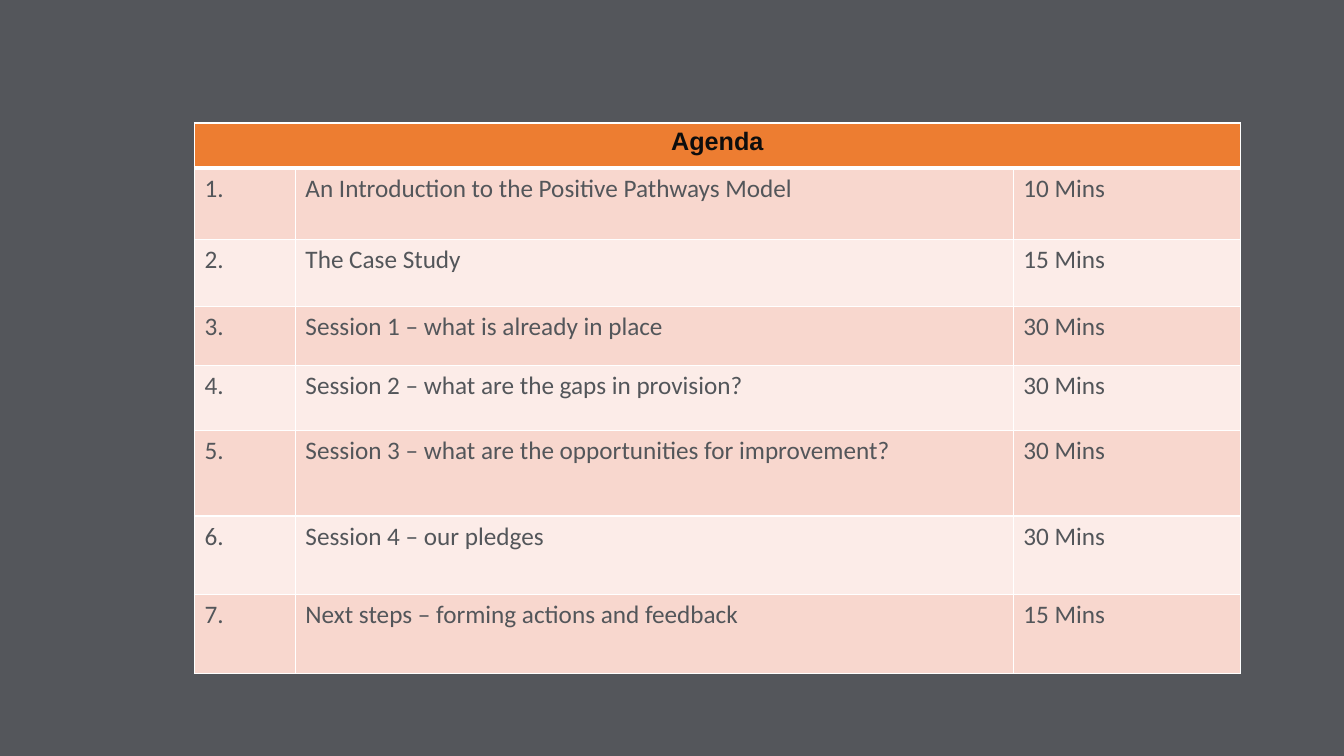
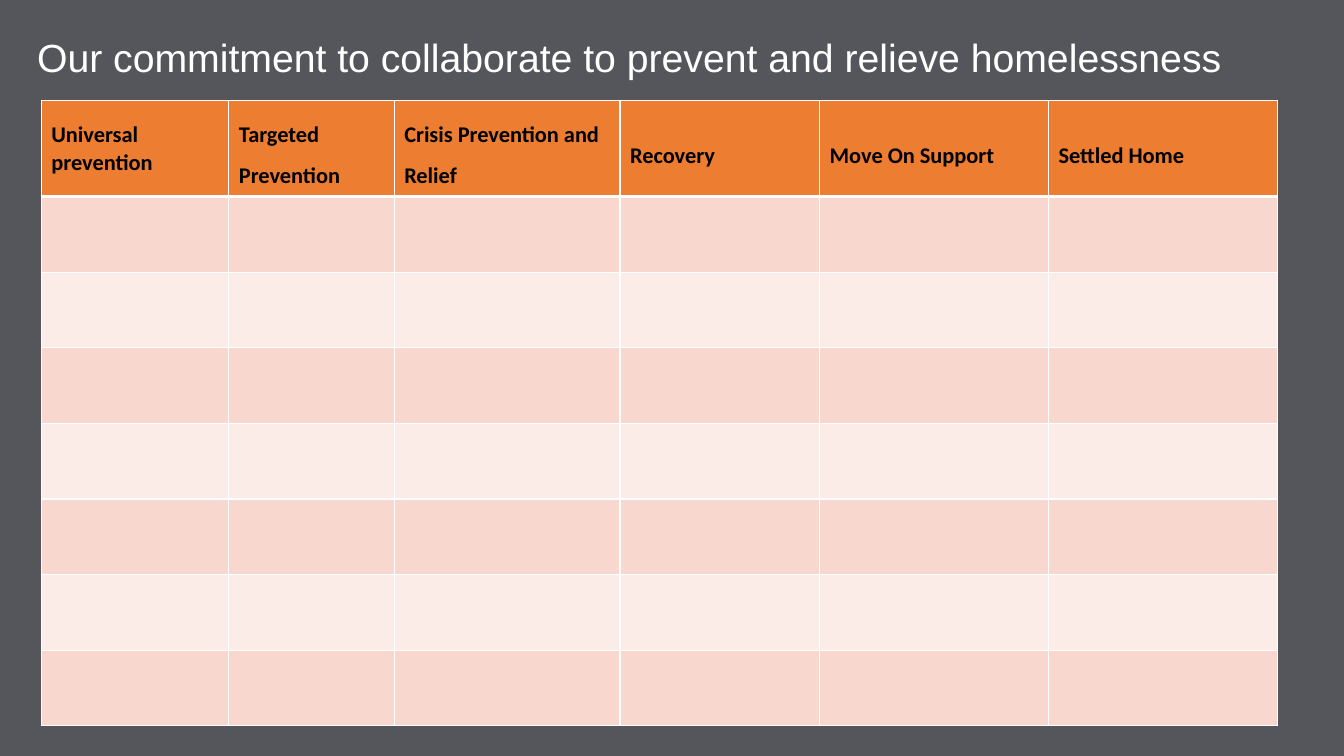
from lxml import etree
from pptx import Presentation
from pptx import util as u
from pptx.dml.color import RGBColor
from pptx.enum import text
from pptx.oxml.ns import qn

# Shared look
WIDTH, HEIGHT = 13.33, 7.5
BACKGROUND, HEADER, BANDS = "54565B", "ED7D31", ("F8D7CE", "FCECE8")
WHITE, BLACK, NEAR_BLACK, GREY = "FFFFFF", "000000", "0D0D0D", "53565A"
THIN, THICK = 1, 3

# Content
AGENDA_TITLE = "Agenda"
AGENDA = [
    ("An Introduction to the Positive Pathways Model", 10),
    ("The Case Study", 15),
    ("Session 1 – what is already in place", 30),
    ("Session 2 – what are the gaps in provision?", 30),
    ("Session 3 – what are the opportunities for improvement?", 30),
    ("Session 4 – our pledges", 30),
    ("Next steps – forming actions and feedback", 15),
]
AGENDA_COLUMNS = [1, 7.12, 2.25]
AGENDA_ROWS = [0.45, 0.71, 0.66, 0.59, 0.64, 0.85, 0.78, 0.78]

COMMITMENT = "Our commitment to collaborate to prevent and relieve homelessness"
STAGES = [  # heading, column width, line spacing
    ("Universal prevention", 1.86, 1),
    ("Targeted Prevention", 1.64, 1.5),
    ("Crisis Prevention and Relief", 2.24, 1.5),
    ("Recovery", 1.98, 1.5),
    ("Move On Support", 2.27, 1.5),
    ("Settled Home", 2.27, 1.5),
]
STAGE_ROWS = [0.95] + [0.75] * 7


def color(value):
    return RGBColor.from_string(value)


def write(frame, words, size=18, font="Calibri", ink=GREY, bold=False,
          align=text.PP_ALIGN.LEFT, spacing=1):
    paragraph = frame.paragraphs[0]
    paragraph.alignment, paragraph.line_spacing = align, float(spacing)
    run = paragraph.add_run()
    run.text = words
    run.font.size, run.font.name, run.font.bold = u.Pt(size), font, bold
    run.font.color.rgb = color(ink)


def add_borders(cell, top, bottom):
    properties = cell._tc.get_or_add_tcPr()
    for side, points in (("L", THIN), ("R", THIN), ("T", top), ("B", bottom)):
        line = etree.SubElement(properties, qn(f"a:ln{side}"), w=str(u.Pt(points)))
        fill = etree.SubElement(line, qn("a:solidFill"))
        etree.SubElement(fill, qn("a:srgbClr"), val=WHITE)


def add_banded_table(slide, left, top, columns, rows):
    """Add a table with an orange header over alternating pink bands."""
    table = slide.shapes.add_table(
        len(rows), len(columns), u.Inches(left), u.Inches(top),
        u.Inches(sum(columns)), u.Inches(sum(rows))).table
    for column, width in zip(table.columns, columns):
        column.width = u.Inches(width)
    for index, (row, height) in enumerate(zip(table.rows, rows)):
        row.height = u.Inches(height)
        for cell in row.cells:
            add_borders(cell, THICK if index == 1 else THIN,
                        THICK if index == 0 else THIN)
            cell.fill.solid()
            cell.fill.fore_color.rgb = color(BANDS[(index - 1) % 2] if index else HEADER)
    return table


def add_slide(presentation):
    slide = presentation.slides.add_slide(presentation.slide_layouts[6])
    slide.background.fill.solid()
    slide.background.fill.fore_color.rgb = color(BACKGROUND)
    return slide


def build_agenda(presentation):
    table = add_banded_table(add_slide(presentation), 1.93, 1.22,
                             AGENDA_COLUMNS, AGENDA_ROWS)
    heading = table.cell(0, 0)
    heading.merge(table.cell(0, len(AGENDA_COLUMNS) - 1))
    write(heading.text_frame, AGENDA_TITLE, font="Arial", ink=NEAR_BLACK,
          bold=True, align=text.PP_ALIGN.CENTER)
    for number, (topic, minutes) in enumerate(AGENDA, 1):
        entries = (f"{number}.", topic, f"{minutes} Mins")
        for column, words in enumerate(entries):
            write(table.cell(number, column).text_frame, words)


def build_commitment(presentation):
    slide = add_slide(presentation)
    table = add_banded_table(slide, 0.41, 1, [width for _, width, _ in STAGES], STAGE_ROWS)
    for column, (heading, _, spacing) in enumerate(STAGES):
        cell = table.cell(0, column)
        cell.vertical_anchor = text.MSO_ANCHOR.MIDDLE
        write(cell.text_frame, heading, size=16, ink=BLACK, bold=True, spacing=spacing)

    # Title
    title = slide.shapes.add_textbox(*map(u.Inches, (0.27, 0.28, 12.67, 0.57)))
    title.text_frame.word_wrap = True
    write(title.text_frame, COMMITMENT, size=28, font="Arial", ink=WHITE)


def main():
    presentation = Presentation()
    presentation.slide_width = u.Inches(WIDTH)
    presentation.slide_height = u.Inches(HEIGHT)
    build_agenda(presentation)
    build_commitment(presentation)
    presentation.save("out.pptx")


if __name__ == "__main__":
    main()
